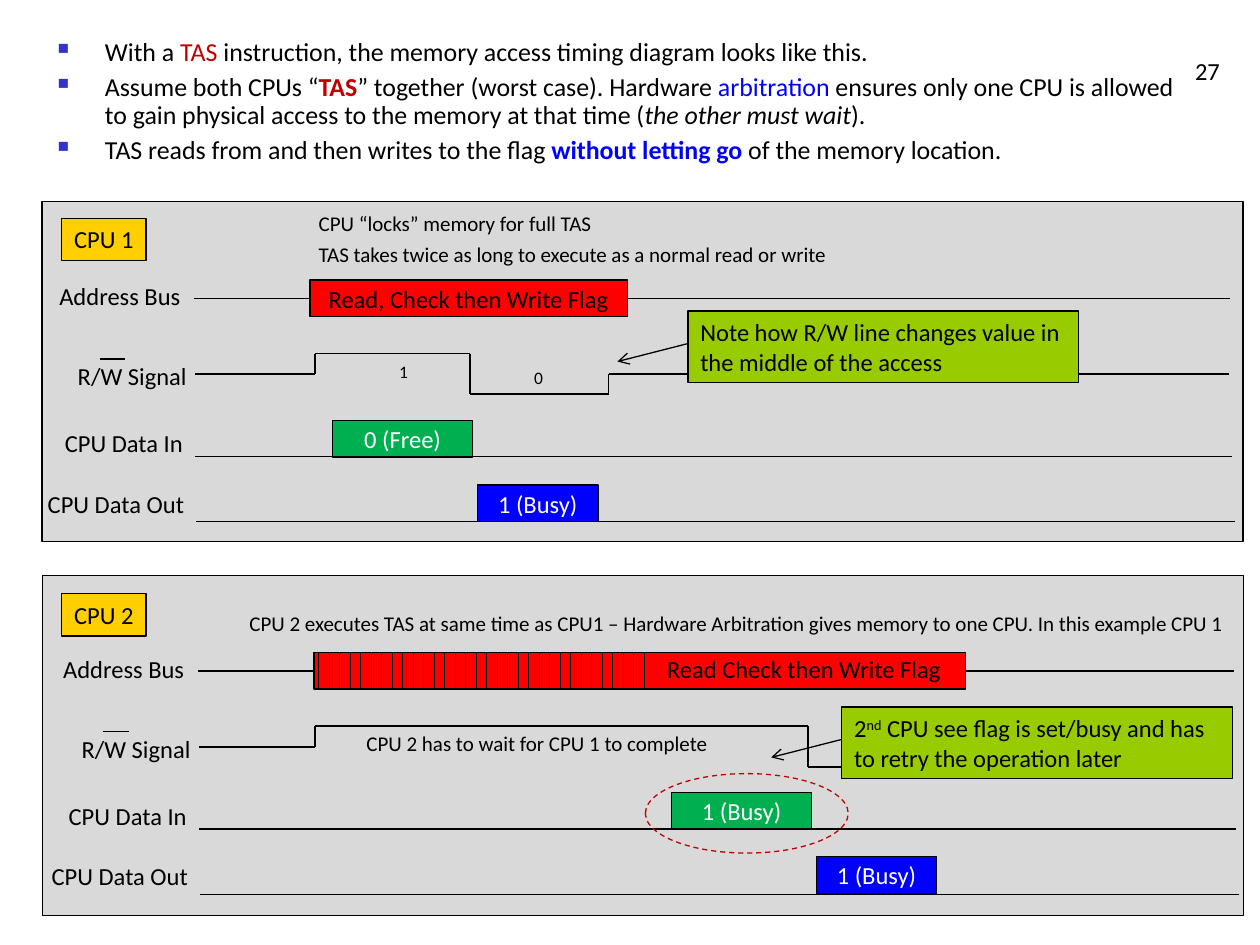
from lxml import etree
from pptx import Presentation
from pptx import util as u
from pptx.dml.color import RGBColor
from pptx.enum import dml, shapes, text
from pptx.oxml import ns

Pt = u.Pt
BLACK = RGBColor(0, 0, 0)
WHITE = RGBColor(255, 255, 255)
GREY = RGBColor(0xD9, 0xD9, 0xD9)
RED = RGBColor(255, 0, 0)
DARK_RED = RGBColor(0xC0, 0, 0)
BLUE = RGBColor(0, 0, 255)
GREEN = RGBColor(0, 0xB0, 0x50)
LIME = RGBColor(0x99, 0xCC, 0)
YELLOW = RGBColor(0xFF, 0xCF, 0x01)
LEFT, CENTER, RIGHT = text.PP_ALIGN.LEFT, text.PP_ALIGN.CENTER, text.PP_ALIGN.RIGHT
LINE_WIDTH = 0.74
CPU2_DX, CPU2_DY = 2.2, 212.9

# label, label left, label top, line start, line y, line end
ROWS = [
    ("Address Bus", 9.4, 157, 110.9, 170.6, 702.8),
    ("R/W Signal", 13, 203, None, None, None),
    ("CPU Data In", 10.8, 241.2, 111.6, 260.8, 704.2),
    ("CPU Data Out", 11.5, 275.8, 112.3, 298.2, 705.6),
]


def sub(parent, tag, **attrs):
    el = etree.SubElement(parent, ns.qn(tag))
    for key, value in attrs.items():
        el.set(key, value)
    return el


def add_runs(p, runs, size, color):
    """Each run is a string or a (string, format) pair."""
    for run in runs:
        words, fmt = (run, {}) if isinstance(run, str) else run
        r = p.add_run()
        r.text = words
        r.font.name, r.font.size = "Calibri", Pt(size)
        r.font.color.rgb = fmt.get("color", color)
        r.font.bold, r.font.italic = fmt.get("bold"), fmt.get("italic")
        if fmt.get("superscript"):
            r.font._element.set("baseline", "30000")


def write(sp, *runs, size=14, color=BLACK, align=LEFT, wrap=True, grow=False,
          anchor=text.MSO_ANCHOR.TOP):
    tf = sp.text_frame
    tf.word_wrap, tf.vertical_anchor = wrap, anchor
    tf.auto_size = text.MSO_AUTO_SIZE.SHAPE_TO_FIT_TEXT if grow else text.MSO_AUTO_SIZE.NONE
    p = tf.paragraphs[0]
    p.alignment = align
    add_runs(p, runs, size, color)


def label(s, x, y, w, h, *runs, **fmt):
    sp = s.shapes.add_textbox(Pt(x), Pt(y), Pt(w), Pt(h))
    write(sp, *runs, **fmt)


def box(s, x, y, w, h, fill=None, line=BLACK, kind=shapes.MSO_SHAPE.RECTANGLE):
    sp = s.shapes.add_shape(kind, Pt(x), Pt(y), Pt(w), Pt(h))
    sp.shadow.inherit = False
    if fill is None:
        sp.fill.background()
    else:
        sp.fill.solid()
        sp.fill.fore_color.rgb = fill
    sp.line.color.rgb, sp.line.width = line, Pt(LINE_WIDTH)
    return sp


def block(s, x, y, w, words, fill, color=WHITE):
    """A bus value sitting on its timing line."""
    write(box(s, x, y, w, 20.9, fill), words, color=color, align=CENTER, wrap=False,
          anchor=text.MSO_ANCHOR.MIDDLE)


def line(s, x1, y1, x2, y2, arrow=False):
    c = s.shapes.add_connector(shapes.MSO_CONNECTOR.STRAIGHT, Pt(x1), Pt(y1), Pt(x2), Pt(y2))
    c.line.color.rgb, c.line.width = BLACK, Pt(LINE_WIDTH)
    if arrow:
        sub(c.line._get_or_add_ln(), "a:tailEnd", type="arrow")
    sub(c._element.spPr, "a:effectLst")


def waveform(s, points):
    for start, end in zip(points, points[1:]):
        line(s, *start, *end)


def note(s, x, y, *runs):
    line(s, x + 19, y + 13.7, x - 40.3, y + 28.8, arrow=True)
    write(box(s, x, y, 223.2, 41, LIME), *runs, grow=True)


def bullets(s, items):
    sp = s.shapes.add_textbox(Pt(25.9), Pt(18.7), Pt(657.4), Pt(90.7))
    tf = sp.text_frame
    tf.word_wrap = True
    for i, runs in enumerate(items):
        p = tf.paragraphs[0] if i == 0 else tf.add_paragraph()
        p.line_spacing, p.space_before = 0.9, Pt(4)
        pPr = p._p.get_or_add_pPr()
        pPr.set("marL", str(Pt(27)))
        pPr.set("indent", str(-Pt(27)))
        sub(sub(pPr, "a:buClr"), "a:srgbClr", val="3333CC")
        sub(pPr, "a:buSzPct", val="60000")
        sub(pPr, "a:buChar", char="■")
        add_runs(p, runs, 14.8, BLACK)


def cpu_rows(s, name, dx, dy, name_y):
    """CPU tag, row labels and the flat timing lines."""
    write(box(s, 35.3, name_y, 48.2, 24.3, YELLOW), name, wrap=False, grow=True)
    for words, x, y, start, line_y, end in ROWS:
        label(s, x + dx, y + dy, 100.8, 24.3, words, align=RIGHT, grow=True)
        if start:
            line(s, start + dx, line_y + dy, end + dx, line_y + dy)
    # Bar over the W
    line(s, 56.9 + dx, 205.2 + dy, 71.3 + dx, 205.2 + dy)


def caption(s, x, y, w, words, size=12):
    label(s, x, y, w, 21.8, words, size=size, wrap=False, grow=True)


def cpu1(s):
    cpu_rows(s, "CPU 1", 0, 0, 124.7)
    block(s, 177.1, 160, 181.4, "Read, Check then Write Flag", RED, BLACK)
    waveform(s, [(111.6, 213.8), (180, 213.8), (180, 202.2), (268.6, 202.2), (268.6, 225.2),
                 (347.8, 225.2), (347.8, 213.8), (702, 213.8)])
    block(s, 190.1, 240.3, 79.9, "0 (Free)", GREEN)
    block(s, 272.9, 277.2, 68.8, "1 (Busy)", BLUE)
    caption(s, 221, 203, 19.4, "1", size=10)
    caption(s, 298.1, 205.9, 19.4, "0", size=10)
    caption(s, 175, 116.6, 171.4, "CPU “locks” memory for full TAS")
    caption(s, 175, 134.6, 306.7, "TAS takes twice as long to execute as a normal read or write")
    note(s, 393.1, 177.8, "Note how R/W line changes value in the middle of the access")


def cpu2(s):
    cpu_rows(s, "CPU 2", CPU2_DX, CPU2_DY, 339.1)
    # Waiting period is hatched, then the access follows
    box(s, 179.4, 373, 372.2, 20.7, RED)
    for i in range(32):
        x = 182.2 + 6 * i
        line(s, x, 373, x, 393.8)
    label(s, 373.7, 370.1, 171.4, 41, "Read Check then Write Flag", align=CENTER)
    waveform(s, [(113.8, 426.8), (180, 426.8), (180, 414.9), (461.7, 414.9), (461.7, 438.3),
                 (540.7, 438.3)])
    block(s, 383.8, 452.9, 79.9, "1 (Busy)", GREEN)
    block(s, 466.6, 489.6, 68.6, "1 (Busy)", BLUE)
    caption(s, 135.4, 345.6, 574.6, "CPU 2 executes TAS at same time as CPU1 – Hardware "
            "Arbitration gives memory to one CPU. In this example CPU 1")
    caption(s, 202.3, 414, 210.2, "CPU 2 has to wait for CPU 1 to complete")
    ring = box(s, 368.8, 442.1, 115.9, 45.4, line=DARK_RED, kind=shapes.MSO_SHAPE.OVAL)
    ring.line.dash_style = dml.MSO_LINE.DASH
    note(s, 481, 404, "2", ("nd", dict(superscript=True)),
         " CPU see flag is set/busy and has to retry the operation later")


def main():
    prs = Presentation()
    prs.slide_width, prs.slide_height = Pt(720), Pt(540)
    s = prs.slides.add_slide(prs.slide_layouts[6])
    # Panels
    box(s, 24.1, 115.2, 686.2, 194.4, GREY)
    box(s, 24.5, 329, 686.2, 194.4, GREY)
    # Introduction and page number
    bullets(s, [
        ["With a ", ("TAS", dict(color=DARK_RED)),
         " instruction, the memory access timing diagram looks like this."],
        ["Assume both CPUs “", ("TAS", dict(color=DARK_RED, bold=True)),
         "” together (worst case). Hardware ", ("arbitration", dict(color=BLUE)),
         " ensures only one CPU is allowed to gain physical access to the memory at that time (",
         ("the other must wait", dict(italic=True)), ")."],
        ["TAS reads from and then writes to the flag ",
         ("without letting go", dict(color=BLUE, bold=True)), " of the memory location."],
    ])
    label(s, 554.4, 16.6, 149.8, 36, "27", align=RIGHT, anchor=text.MSO_ANCHOR.BOTTOM)
    # Timing diagrams
    cpu1(s)
    cpu2(s)
    prs.save("out.pptx")


main()
